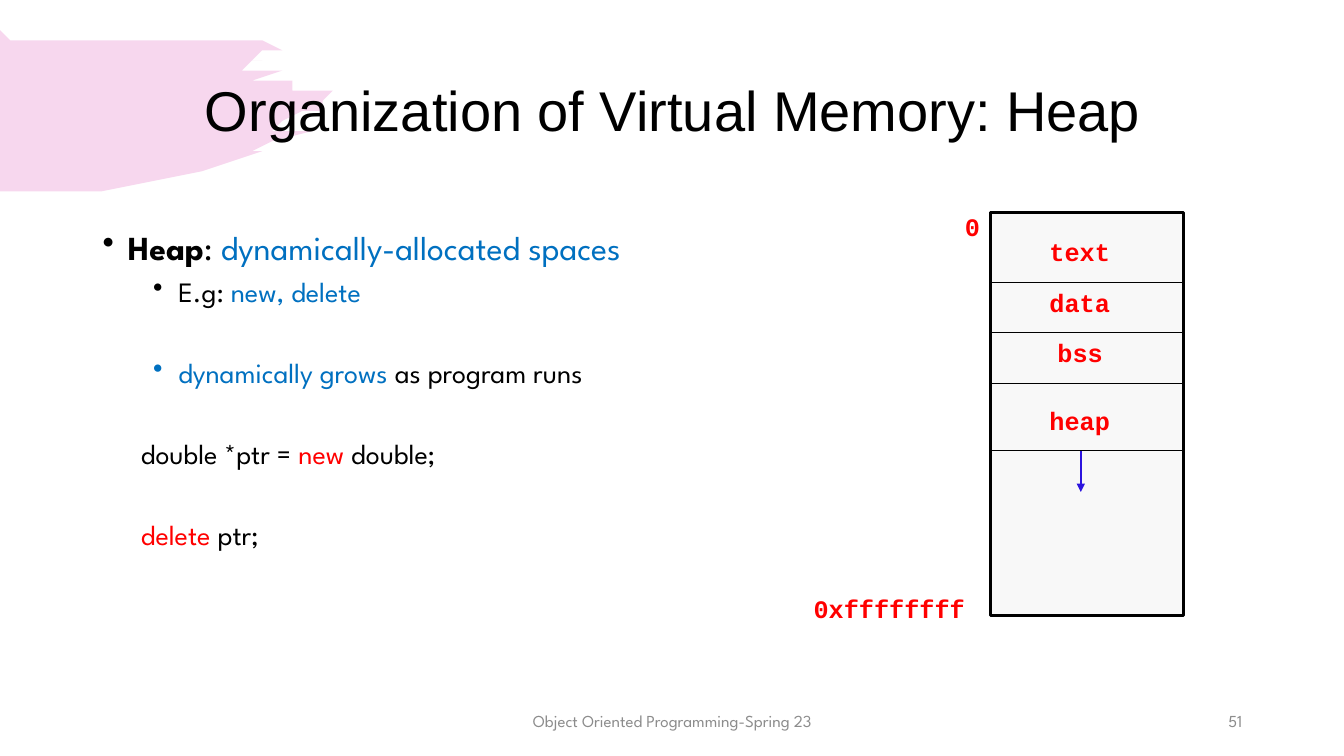
from dataclasses import dataclass

from lxml import etree
from pptx import Presentation, slide as sl, util as u
from pptx.dml.color import RGBColor
from pptx.enum import shapes, text
from pptx.oxml import ns
from pptx.text import text as tx


@dataclass(frozen=True)
class Theme:
    black: str = "000000"
    blue: str = "0070C0"
    red: str = "FF0000"
    gray: str = "8C8C8C"
    arrow: str = "2C14DE"
    pale: str = "F8F8F8"
    pink: str = "D739AE"
    head: str = "Arial"
    body: str = "League Spartan"
    code: str = "Courier New"
    title: int = 40
    lead: int = 24
    sub: int = 20
    label: int = 18
    foot: int = 12


@dataclass(frozen=True)
class Run:
    text: str
    color: str = "000000"
    bold: bool = False


@dataclass(frozen=True)
class Para:
    runs: tuple[Run, ...]
    size: int
    margin: float = 0
    bullet: bool = False
    before: float = 0


@dataclass(frozen=True)
class Label:
    text: str
    col: float
    row: float
    cols: float
    wrap: bool = True


T = Theme()
CELL = u.Inches(0.1)  # grid of 133.3 columns by 75 rows
LEFT = text.PP_ALIGN.LEFT
MID = text.MSO_ANCHOR.MIDDLE
TOP = text.MSO_ANCHOR.TOP

GAP = 33.9  # a whole line left open before a paragraph
NOTES = (
    Para((Run("Heap", bold=True), Run(": "),
          Run("dynamically-allocated spaces", T.blue)), T.lead, 2.5, True),
    Para((Run("E.g: "), Run("new, delete", T.blue)), T.sub, 7.5, True, 5),
    Para((Run("dynamically grows ", T.blue), Run("as program runs")),
         T.sub, 7.5, True, GAP),
    Para((Run("double *ptr = "), Run("new", T.red), Run(" double;")),
         T.sub, 3.8, before=GAP),
    Para((Run("delete ", T.red), Run("ptr;")), T.sub, 3.8, before=GAP),
)
LABELS = (
    Label("0xffffffff", 79.7, 58.4, 17.1, False),
    Label("0", 94.7, 20.5, 4.2),
    Label("text", 103.1, 23, 13.3),
    Label("data", 103.1, 28, 12.5),
    Label("bss", 103.9, 33, 8.3),
    Label("heap", 103.1, 39.7, 12.5),
)
RULES = (28, 33, 38, 44.7)
# Brush outline in columns and rows
BRUSH = (
    (0, 3.4), (0.6, 3.5), (2.5, 3.7), (6.6, 3.8), (10.2, 3.7), (15.1, 3.8),
    (19.4, 4.1), (24.8, 4.1), (26.4, 4.1), (28, 4.7), (27.1, 4.9),
    (25.5, 5.4), (25.3, 5.7), (25.6, 5.9), (26.2, 6.2), (24.8, 6.2),
    (23.8, 6.6), (24.6, 6.8), (25.6, 7), (26.6, 7.1), (27.5, 7.4),
    (25.1, 7.5), (26.3, 7.8), (27.3, 8.1), (28, 8.2), (28.8, 8.3),
    (29, 8.5), (28.7, 8.8), (28.4, 8.8), (26.3, 8.8), (29.6, 9.2),
    (33, 9.4), (32.1, 9.7), (31.8, 10.6), (30.7, 11.1), (30, 11.3),
    (28.3, 11.6), (28, 12), (27.8, 12.5), (27.4, 12.8), (30.8, 12.8),
    (26.9, 13.8), (27.3, 14.2), (25.2, 14.8), (26.3, 14.8), (23.3, 16),
    (19.7, 17.2), (10.2, 18.8), (6.5, 19.1), (2.3, 19), (0.7, 18.9),
    (0, 18.8),
)


def grid(*cells: float) -> list[int]:
    return [round(n * CELL) for n in cells]


def rgb(code: str) -> RGBColor:
    return RGBColor.from_string(code)


def write(frame: tx.TextFrame, paras: tuple[Para, ...], *, font: str,
          align: text.PP_ALIGN = LEFT, anchor: text.MSO_ANCHOR = TOP,
          wrap: bool = True, space: float = 1) -> None:
    frame.word_wrap = wrap
    fit = text.MSO_AUTO_SIZE
    frame.auto_size = fit.NONE if wrap else fit.SHAPE_TO_FIT_TEXT
    frame.vertical_anchor = anchor
    for i, item in enumerate(paras):
        para = frame.add_paragraph() if i else frame.paragraphs[0]
        props = para._p.get_or_add_pPr()
        left, hang = grid(item.margin, -2.5 if item.bullet else 0)
        props.set("marL", str(left))
        props.set("indent", str(hang))
        kind = "a:buChar" if item.bullet else "a:buNone"
        mark = etree.SubElement(props, ns.qn(kind))
        if item.bullet:
            mark.set("char", "•")
        para.alignment = align
        para.line_spacing = space
        para.space_before = u.Pt(item.before)
        for part in item.runs:
            run = para.add_run()
            run.text = part.text
            run.font.name = font
            run.font.size = u.Pt(item.size)
            run.font.bold = part.bold
            run.font.color.rgb = rgb(part.color)


def box(page: sl.Slide, *cells: float) -> tx.TextFrame:
    return page.shapes.add_textbox(*grid(*cells)).text_frame


def line(page: sl.Slide, *ends: float, color: str, width: float,
         arrow: bool = False) -> None:
    rule = page.shapes.add_connector(shapes.MSO_CONNECTOR.STRAIGHT,
                                     *grid(*ends))
    rule.line.color.rgb = rgb(color)
    rule.line.width = u.Pt(width)
    if arrow:
        tip = etree.SubElement(rule.line._get_or_add_ln(), ns.qn("a:tailEnd"))
        tip.set("type", "triangle")
    etree.SubElement(rule._element.spPr, ns.qn("a:effectLst"))


def brush(page: sl.Slide) -> None:
    form = page.shapes.build_freeform(*BRUSH[0], scale=CELL)
    form.add_line_segments(BRUSH[1:], close=True)
    shape = form.convert_to_shape()
    shape.shadow.inherit = False
    shape.line.fill.background()
    shape.fill.solid()
    shape.fill.fore_color.rgb = rgb(T.pink)
    tint = next(shape._element.spPr.iter(ns.qn("a:srgbClr")))
    etree.SubElement(tint, ns.qn("a:alpha")).set("val", "20000")
    shape._element.getparent().insert(2, shape._element)  # behind the title


def memory(page: sl.Slide) -> None:
    block = page.shapes.add_shape(shapes.MSO_SHAPE.RECTANGLE,
                                  *grid(98.2, 21.1, 19.2, 40))
    block.shadow.inherit = False
    block.fill.solid()
    block.fill.fore_color.rgb = rgb(T.pale)
    block.line.color.rgb = rgb(T.black)
    block.line.width = u.Pt(2.25)
    for row in RULES:
        line(page, 98.1, row, 117.2, row, color=T.black, width=0.75)
    for item in LABELS:
        write(box(page, item.col, item.row, item.cols, 4),
              (Para((Run(item.text, T.red, True),), T.label),),
              font=T.code, wrap=item.wrap)
    line(page, 107.2, RULES[-1], 107.2, 48.8, color=T.arrow, width=1.25,
         arrow=True)


def main() -> None:
    deck = Presentation()
    deck.slide_width, deck.slide_height = u.Inches(13.33), u.Inches(7.5)
    page = deck.slides.add_slide(deck.slide_layouts.get_by_name("Title Only"))

    # Title over the brush stroke
    brush(page)
    head = page.shapes.title
    head.left, head.top, head.width, head.height = grid(9.2, 4, 115, 14.5)
    write(head.text_frame,
          (Para((Run("Organization of Virtual Memory: Heap"),), T.title),),
          font=T.head, align=text.PP_ALIGN.CENTER, anchor=MID, space=0.9)

    # Notes and memory diagram
    write(box(page, 9.2, 22, 115, 45.5), NOTES, font=T.body)
    memory(page)

    # Footer and page number
    for words, col, cols, align in (
            ("Object Oriented Programming-Spring 23", 44.2, 45,
             text.PP_ALIGN.CENTER),
            ("51", 94.2, 30, text.PP_ALIGN.RIGHT)):
        write(box(page, col, 69.5, cols, 4),
              (Para((Run(words, T.gray),), T.foot),),
              font=T.body, align=align, anchor=MID)

    deck.save("out.pptx")


if __name__ == "__main__":
    main()
